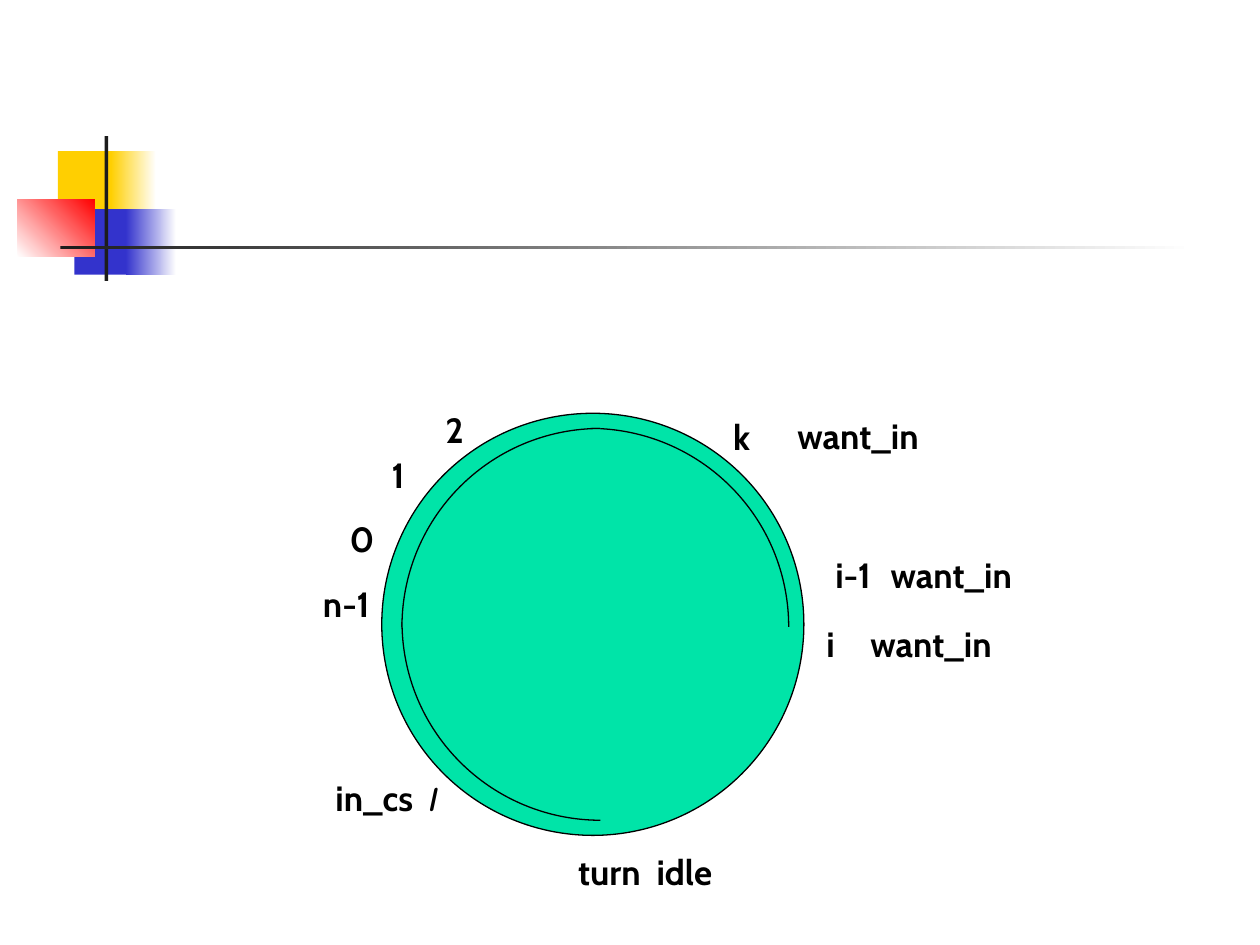
from pptx import Presentation
from pptx.dml.color import RGBColor
from pptx.enum.shapes import MSO_SHAPE
from pptx.enum.text import MSO_AUTO_SIZE, PP_ALIGN
from pptx.util import Inches, Pt

COLORS = {
    "yellow": "FFCF01",
    "blue": "3333CC",
    "red": "FF0000",
    "charcoal": "1C1C1C",
    "green": "00E4A8",
    "black": "000000",
    "white": "FFFFFF",
}
LABEL_FORMAT = {"name": "Cabin", "size": Pt(20), "bold": True}
SCRIPT_FORMAT = {"name": "Comic Neue", "italic": True}
WIDE_SPACE = "450"  # extra width after a space, in hundredths of a point
LABEL_HEIGHT = 0.44
ARC_SIZE = 3.15


def color(name):
    return RGBColor.from_string(COLORS[name])


def add_plain_shape(page, kind, left, top, width, height, fill):
    shape = page.shapes.add_shape(
        kind, Inches(left), Inches(top), Inches(width), Inches(height))
    shape.shadow.inherit = False
    shape.fill.solid()
    shape.fill.fore_color.rgb = color(fill)
    shape.line.fill.background()
    return shape


def add_fading_bar(page, left, top, width, height, start, end, angle=0):
    bar = add_plain_shape(page, MSO_SHAPE.RECTANGLE, left, top, width, height, start)
    bar.fill.gradient()
    bar.fill.gradient_angle = angle
    for stop, name in zip(bar.fill.gradient_stops, (start, end)):
        stop.color.rgb = color(name)


def add_outlined_shape(page, kind, left, top, size, rotation=0):
    shape = add_plain_shape(page, kind, left, top, size, size, "green")
    shape.line.color.rgb = color("black")
    shape.line.width = Pt(0.75)
    shape.rotation = rotation


def add_span(para, text, changes):
    span = para.add_run()
    span.text = text
    for name, value in {**LABEL_FORMAT, **changes}.items():
        setattr(span.font, name, value)
    span.font.color.rgb = color("black")
    return span


def add_label(page, left, top, width, align, *words):
    """Add one line of (text, format changes) words, set apart by wide spaces."""
    box = page.shapes.add_textbox(
        Inches(left), Inches(top), Inches(width), Inches(LABEL_HEIGHT))
    frame = box.text_frame
    frame.word_wrap = True
    frame.auto_size = MSO_AUTO_SIZE.SHAPE_TO_FIT_TEXT
    para = frame.paragraphs[0]
    para.alignment = align
    for index, (text, changes) in enumerate(words):
        if index:
            gap = add_span(para, " ", {})
            gap._r.get_or_add_rPr().set("spc", WIDE_SPACE)
        add_span(para, text, changes)


def add_corner_ornament(page):
    rectangle = MSO_SHAPE.RECTANGLE
    add_plain_shape(page, rectangle, 0.46, 1.2, 0.48, 0.52, "yellow")
    add_fading_bar(page, 0.88, 1.2, 0.36, 0.52, "yellow", "white")
    add_plain_shape(page, rectangle, 0.59, 1.66, 0.46, 0.52, "blue")
    add_fading_bar(page, 1, 1.66, 0.4, 0.52, "blue", "white")
    add_fading_bar(page, 0.14, 1.58, 0.61, 0.46, "white", "red", 45)
    add_plain_shape(page, rectangle, 0.83, 1.08, 0.03, 1.15, "charcoal")
    add_fading_bar(page, 0.48, 1.95, 9, 0.03, "charcoal", "white")


def add_process_ring(page):
    add_outlined_shape(page, MSO_SHAPE.OVAL, 3.03, 3.28, 3.35)
    for left, top, rotation in ((3.11, 3.4, 0), (3.19, 3.4, 270), (3.19, 3.36, 180)):
        add_outlined_shape(page, MSO_SHAPE.ARC, left, top, ARC_SIZE, rotation)


def add_process_labels(page):
    left_side, right_side = PP_ALIGN.LEFT, PP_ALIGN.RIGHT
    for text, left, top, width, align in (
        ("0", 2.44, 4.06, 0.63, right_side),
        ("1", 2.68, 3.55, 0.63, right_side),
        ("2", 3.15, 3.19, 0.63, right_side),
        ("n-1", 2.24, 4.57, 0.79, right_side),
        ("i", 6.46, 4.89, 0.63, left_side),
        ("i-1", 6.18, 4.34, 0.83, right_side),
        ("want_in", 6.81, 4.89, 1.46, left_side),
        ("want_in", 6.97, 4.34, 1.53, left_side),
        ("k", 5.72, 3.25, 0.63, left_side),
        ("want_in", 6.23, 3.24, 1.51, left_side),
    ):
        add_label(page, left, top, width, align, (text, {}))
    add_label(page, 2.11, 6.11, 1.46, right_side, ("in_cs", {}), ("l", SCRIPT_FORMAT))
    add_label(page, 4.21, 6.7, 1.54, right_side, ("turn", {}), ("idle", {}))


def main():
    deck = Presentation()
    deck.slide_width, deck.slide_height = Inches(10), Inches(7.5)
    page = deck.slides.add_slide(deck.slide_layouts[6])
    add_corner_ornament(page)
    add_process_ring(page)
    add_process_labels(page)
    deck.save("out.pptx")


if __name__ == "__main__":
    main()
